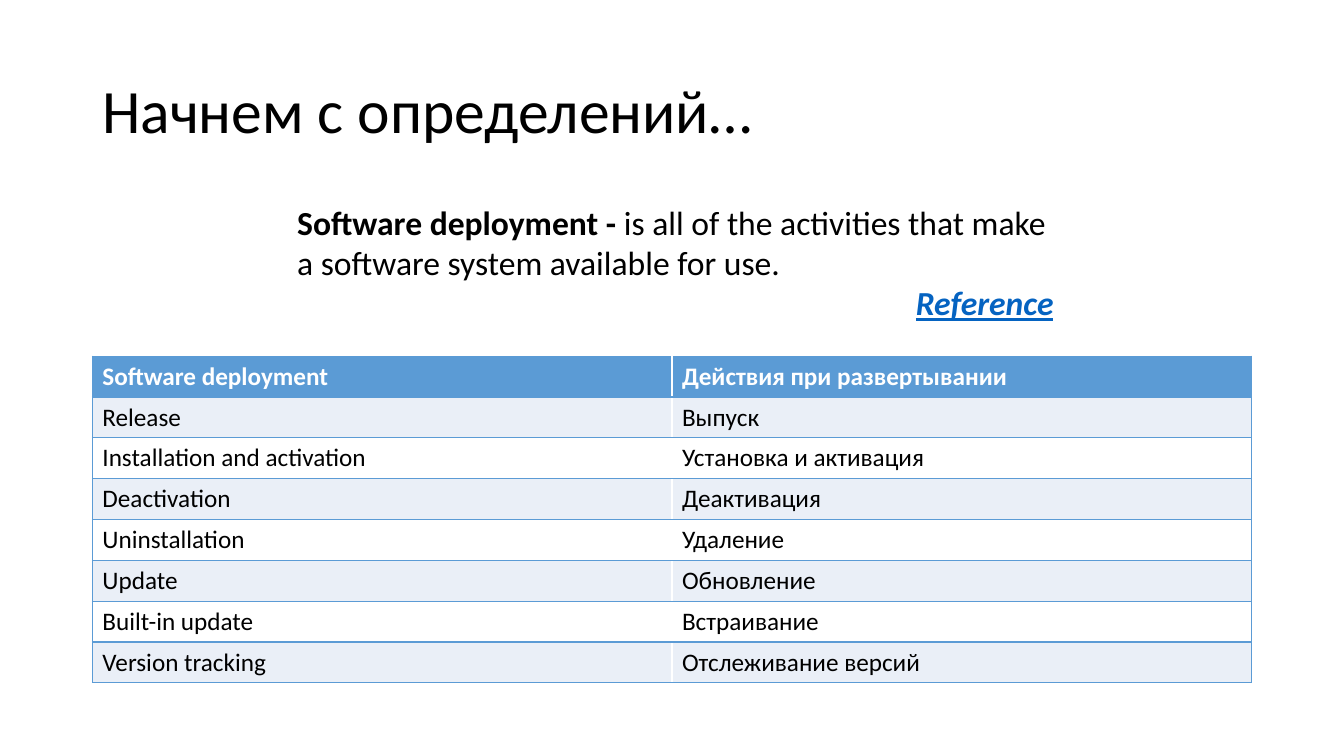
import lxml.etree
import pptx
import pptx.dml.color
import pptx.enum.text
import pptx.oxml.ns
import pptx.util

COLUMNS, ROWS = 160, 90
UNIT = pptx.util.Inches(1) / 12
MARGIN, CONTENT_WIDTH = 11, 138
ALIGN = pptx.enum.text.PP_ALIGN
ANCHOR = pptx.enum.text.MSO_ANCHOR

ACTIONS = [
    ("Software deployment", "Действия при развертывании"),
    ("Release", "Выпуск"),
    ("Installation and activation", "Установка и активация"),
    ("Deactivation", "Деактивация"),
    ("Uninstallation", "Удаление"),
    ("Update", "Обновление"),
    ("Built-in update", "Встраивание"),
    ("Version tracking", "Отслеживание версий"),
]


def grid(*counts):
    """Turn counts of grid columns or rows into lengths."""
    return [pptx.util.Emu(round(count * UNIT)) for count in counts]


def color(code):
    """Turn a hex string into a colour."""
    return pptx.dml.color.RGBColor.from_string(code)


def add_span(para, text, font="Calibri", size=18, ink="000000",
             bold=False, italic=False, underline=False):
    """Append formatted text to a paragraph."""
    span = para.add_run()
    span.text = text
    span.font.name = font
    span.font.size = pptx.util.Pt(size)
    span.font.color.rgb = color(ink)
    span.font.bold = bold
    span.font.italic = italic
    span.font.underline = underline


def add_border(cell, code, sides):
    """Draw one-point lines on the given sides of a cell."""
    properties = cell._tc.get_or_add_tcPr()
    for position, side in enumerate(sides):
        line = lxml.etree.Element(pptx.oxml.ns.qn(f"a:ln{side}"), w="12700")
        fill = lxml.etree.SubElement(line, pptx.oxml.ns.qn("a:solidFill"))
        lxml.etree.SubElement(fill, pptx.oxml.ns.qn("a:srgbClr"), val=code)
        properties.insert(position, line)


class SlideBuilder:
    """Holds the style and the current slide."""

    accent, band, plain = "5B9BD5", "EAEFF7", "FFFFFF"
    link = "0563C1"

    def __init__(self, deck):
        """Add a blank page to the deck."""
        self.page = deck.slides.add_slide(deck.slide_layouts[6])

    def text(self, area, anchor=ANCHOR.TOP):
        """Add a wrapping text box and return its frame."""
        frame = self.page.shapes.add_textbox(*grid(*area)).text_frame
        frame.word_wrap = True
        frame.vertical_anchor = anchor
        return frame

    def title(self, text, area):
        """Add the slide title."""
        para = self.text(area, ANCHOR.MIDDLE).paragraphs[0]
        para.line_spacing = 0.9
        add_span(para, text, size=44)

    def definition(self, term, meaning, source, area):
        """Add a term with its meaning and a right-aligned source."""
        frame = self.text(area)
        para = frame.paragraphs[0]
        add_span(para, term, size=24, bold=True)
        add_span(para, meaning, size=24)
        credit = frame.add_paragraph()
        credit.alignment = ALIGN.RIGHT
        add_span(credit, source, size=24, ink=self.link,
                 bold=True, italic=True, underline=True)

    def table(self, records, area):
        """Add a banded table with a header and ruled rows."""
        last = len(records[0]) - 1
        table = self.page.shapes.add_table(
            len(records), last + 1, *grid(*area)).table
        for row, record in enumerate(records):
            header = row == 0
            shade = self.accent if header else (self.plain, self.band)[row % 2]
            for column, text in enumerate(record):
                cell = table.cell(row, column)
                cell.fill.solid()
                cell.fill.fore_color.rgb = color(shade)
                add_span(cell.text_frame.paragraphs[0], text, bold=header,
                         ink=self.plain if header else "000000")
                outer = "L" * (column == 0) + "R" * (column == last)
                add_border(cell, self.accent, outer + "TB")


def main():
    """Build and save the deck."""
    deck = pptx.Presentation()
    deck.slide_width, deck.slide_height = grid(COLUMNS, ROWS)
    slide = SlideBuilder(deck)
    slide.title("Начнем с определений…", (MARGIN, 4.8, CONTENT_WIDTH, 17.4))
    slide.table(ACTIONS, (MARGIN, 42.4, CONTENT_WIDTH, 38.9))
    slide.definition(
        "Software deployment - ",
        "is all of the activities that make a software system available for use.",
        "Reference", (34.2, 23.4, 92.4, 15.7))
    deck.save("out.pptx")


main()
